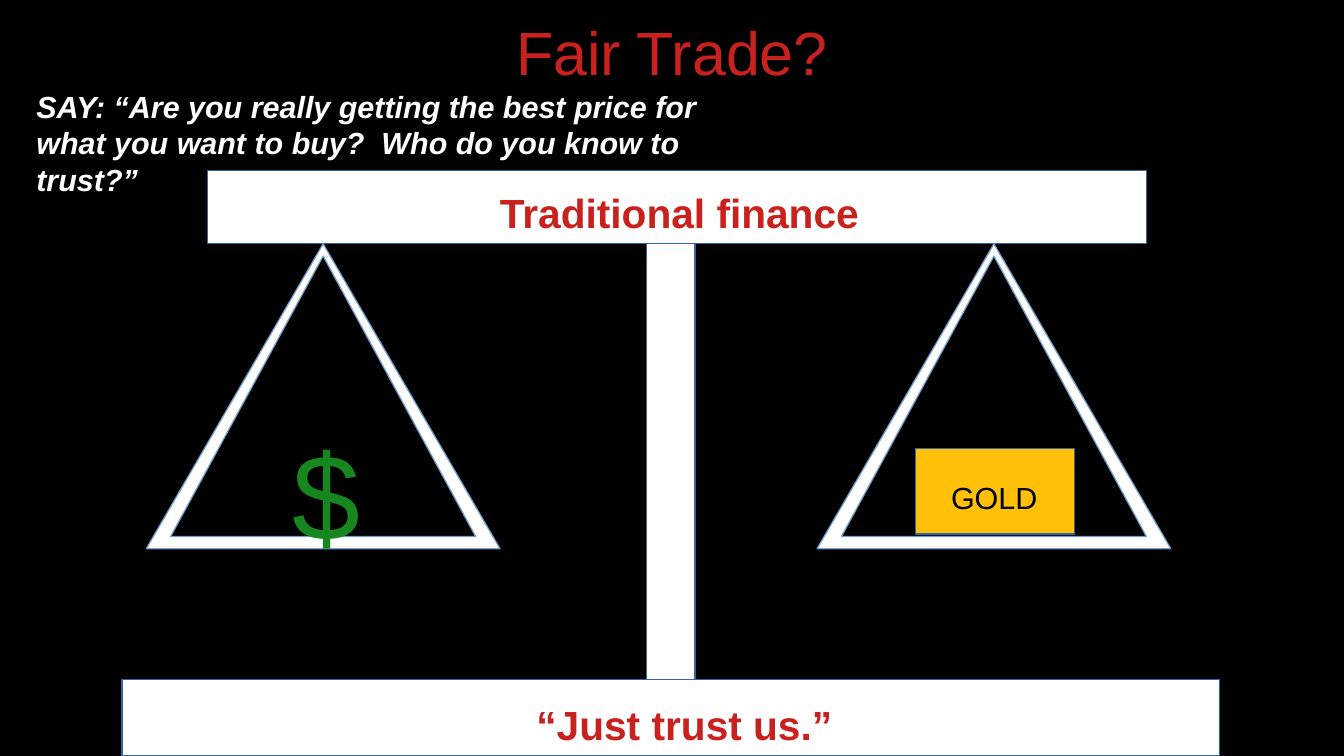
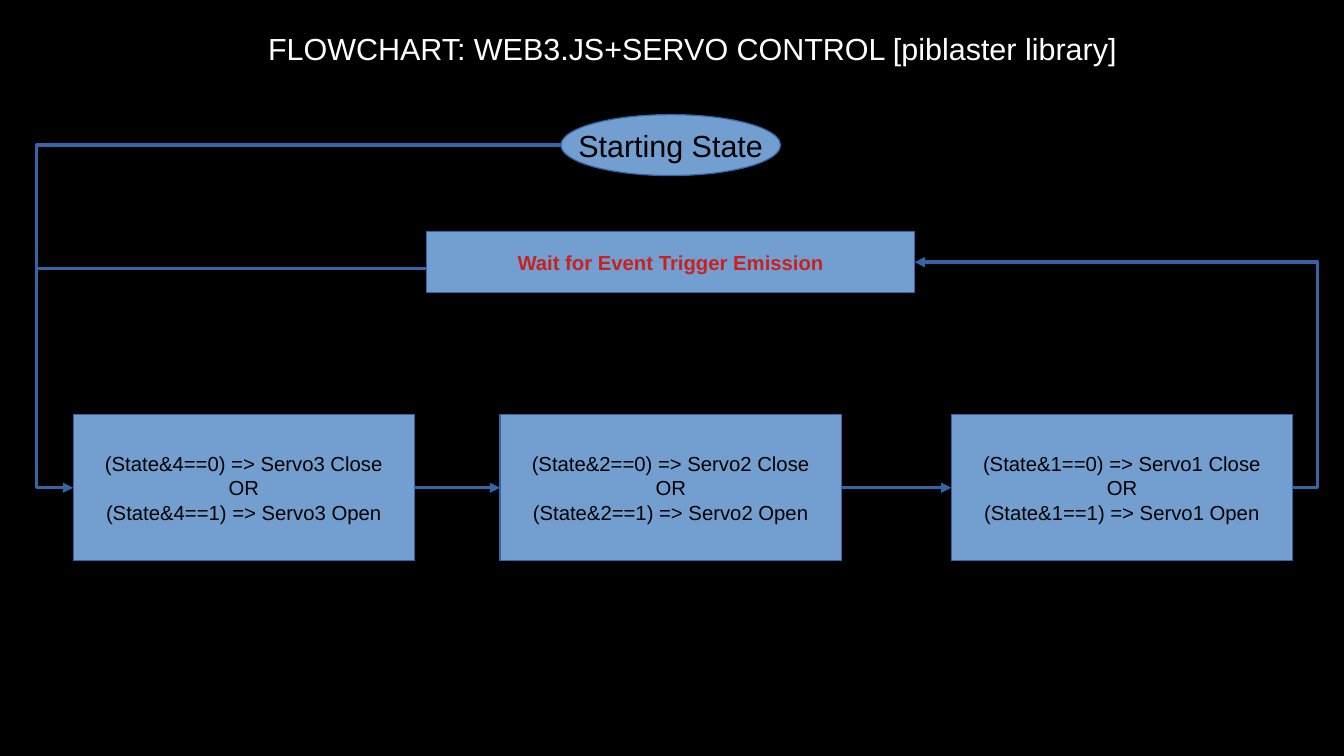
from lxml import etree
from pptx import Presentation
from pptx.dml.color import RGBColor
from pptx.enum import shapes, text
from pptx.oxml.ns import qn
from pptx.util import Pt

BLACK, WHITE, RED = "000000", "FFFFFF", "C9211E"
BLUE, LINE, GREEN, GOLD = "729FCF", "3465A4", "16871F", "FFC107"
FONT = "Arial"
CENTER = text.PP_ALIGN.CENTER
LEFT = text.PP_ALIGN.LEFT
KIND = shapes.MSO_SHAPE
WIRE = shapes.MSO_CONNECTOR

TITLE = ("Fair Trade?", (39.6, -7.2, 714.24, 74.88))
BEAMS = [
    (122.4, 100.8, 554.4, 43.2),
    (381.6, 144, 28.8, 259.2),
    (72, 401.04, 648, 45.36),
]
PAN_LEFTS = [86.4, 482.4]
PAN_TOP = 144
PAN_LAYERS = [
    (0, 0, 208.8, 180, WHITE),
    (14.4, 7.2, 180, 165.6, BLACK),
]
GOLD_BAR = (540.72, 264.96, 93.6, 50.4)
SCALE_LABELS = [
    ("$", (165.6, 243.36, 50.4, 87.84), dict(size=72, color=GREEN)),
    ("GOLD", (554.4, 279.36, 72, 47.52), dict(size=18, color=BLACK)),
    ("“Just trust us.”", (309.6, 409.68, 237.6, 87.12),
     dict(size=24, color=RED, bold=True)),
    ("SAY: “Are you really getting the best price for what you want to buy?"
     "  Who do you know to trust?”", (14.4, 48.24, 424.8, 67.68),
     dict(size=18, color=WHITE, bold=True, italic=True)),
    ("Traditional finance", (288, 107.28, 316.8, 87.12),
     dict(size=24, color=RED, bold=True)),
]

FLOW_TITLE = ("FLOWCHART: WEB3.JS+SERVO CONTROL [piblaster library]",
              (151.2, 14.4, 547.2, 47.52))
START = ("Starting State", (331.2, 67.68, 129.6, 36))
WAIT = ("Wait for Event Trigger Emission", (252, 136.8, 288, 36))
SERVOS = [(3, 4, 43.2), (2, 2, 295.2), (1, 1, 561.6)]
SERVO_TOP, SERVO_WIDTH, SERVO_HEIGHT = 244.8, 201.6, 86.4
LEFT_RAIL, RIGHT_RAIL = 21.6, 777.6
WAIT_EXIT = 158.4


def rgb(value):
    return RGBColor.from_string(value)


def add_page(deck):
    page = deck.slides.add_slide(deck.slide_layouts[6])
    page.background.fill.solid()
    page.background.fill.fore_color.rgb = rgb(BLACK)
    return page


def write(box, words, size, color, align=LEFT, middle=False, wrap=True,
          margins=(7.2, 3.6), **styles):
    frame = box.text_frame
    across, down = (Pt(margin) for margin in margins)
    anchors = text.MSO_ANCHOR
    settings = dict(word_wrap=wrap, margin_left=across, margin_right=across,
                    margin_top=down, margin_bottom=down,
                    vertical_anchor=anchors.MIDDLE if middle else anchors.TOP)
    for name, value in settings.items():
        setattr(frame, name, value)
    frame.text = words
    for para in frame.paragraphs:
        para.alignment = align
        for span in para.runs:
            span.font.color.rgb = rgb(color)
            for name, value in dict(name=FONT, size=Pt(size), **styles).items():
                setattr(span.font, name, value)


def add_label(page, words, place, **style):
    write(page.shapes.add_textbox(*map(Pt, place)), words, **style)


def add_block(page, kind, place, fill, line=LINE):
    box = page.shapes.add_shape(kind, *map(Pt, place))
    box.shadow.inherit = False
    box.fill.solid()
    box.fill.fore_color.rgb = rgb(fill)
    box.line.color.rgb = rgb(line)
    box.line.width = Pt(0)
    return box


def add_step(page, kind, words, place, size=12, color=BLACK, **styles):
    box = add_block(page, kind, place, BLUE)
    write(box, words, size, color, align=CENTER, middle=True, wrap=False, **styles)
    return box


def add_wire(page, start, end, rail=None, arrow=True):
    kind = WIRE.STRAIGHT if rail is None else WIRE.ELBOW
    wire = page.shapes.add_connector(kind, *map(Pt, start + end))
    wire.line.color.rgb = rgb(LINE)
    wire.line.width = Pt(0)
    props = wire._element.spPr
    if arrow:
        etree.SubElement(props.find(qn("a:ln")), qn("a:tailEnd"), type="triangle")
    etree.SubElement(props, qn("a:effectLst"))
    if rail is not None:
        bend = round((rail - start[0]) / (end[0] - start[0]) * 100000)
        guides = props.find(qn("a:prstGeom")).get_or_add_avLst()
        etree.SubElement(guides, qn("a:gd"), name="adj1", fmla=f"val {bend}")
    return wire


def side(place, right=False):
    left, top, width, height = place
    return left + width * right, top + height / 2


def build_scale(deck):
    page = add_page(deck)
    add_label(page, *TITLE, size=36, color=RED, align=CENTER, middle=True,
              margins=(0, 0))
    for place in BEAMS:
        add_block(page, KIND.RECTANGLE, place, WHITE)
    for left in PAN_LEFTS:
        for across, down, width, height, fill in PAN_LAYERS:
            place = (left + across, PAN_TOP + down, width, height)
            add_block(page, KIND.ISOSCELES_TRIANGLE, place, fill, BLUE)
    add_block(page, KIND.RECTANGLE, GOLD_BAR, GOLD)
    for words, place, style in SCALE_LABELS:
        add_label(page, words, place, **style)


def build_flowchart(deck):
    page = add_page(deck)
    add_label(page, *FLOW_TITLE, size=18, color=WHITE)
    add_step(page, KIND.OVAL, *START, size=18)
    add_step(page, KIND.RECTANGLE, *WAIT, color=RED, bold=True)
    places, boxes = [], []
    for number, mask, left in SERVOS:
        words = (f"(State&{mask}==0) => Servo{number} Close\nOR\n"
                 f"(State&{mask}==1) => Servo{number} Open")
        places.append((left, SERVO_TOP, SERVO_WIDTH, SERVO_HEIGHT))
        boxes.append(add_step(page, KIND.RECTANGLE, words, places[-1]))
    for index in range(len(boxes) - 1):
        wire = add_wire(page, side(places[index], True), side(places[index + 1]))
        wire.begin_connect(boxes[index], 3)
        wire.end_connect(boxes[index + 1], 1)
    add_wire(page, side(START[1]), side(places[0]), LEFT_RAIL)
    add_wire(page, side(places[-1], True), side(WAIT[1], True), RIGHT_RAIL)
    add_wire(page, (WAIT[1][0], WAIT_EXIT), (LEFT_RAIL, WAIT_EXIT), arrow=False)


def main():
    deck = Presentation()
    deck.slide_width, deck.slide_height = Pt(793.44), Pt(446.4)
    build_scale(deck)
    build_flowchart(deck)
    deck.save("out.pptx")


if __name__ == "__main__":
    main()
